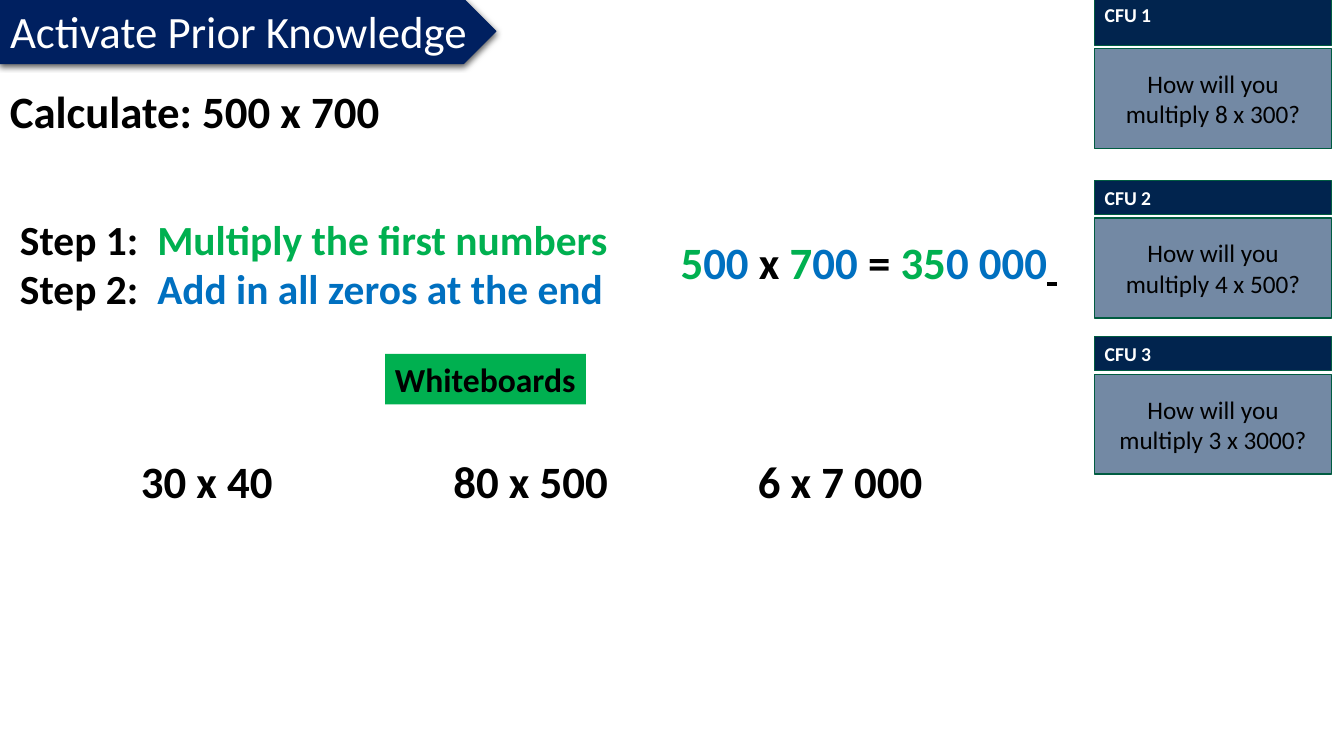
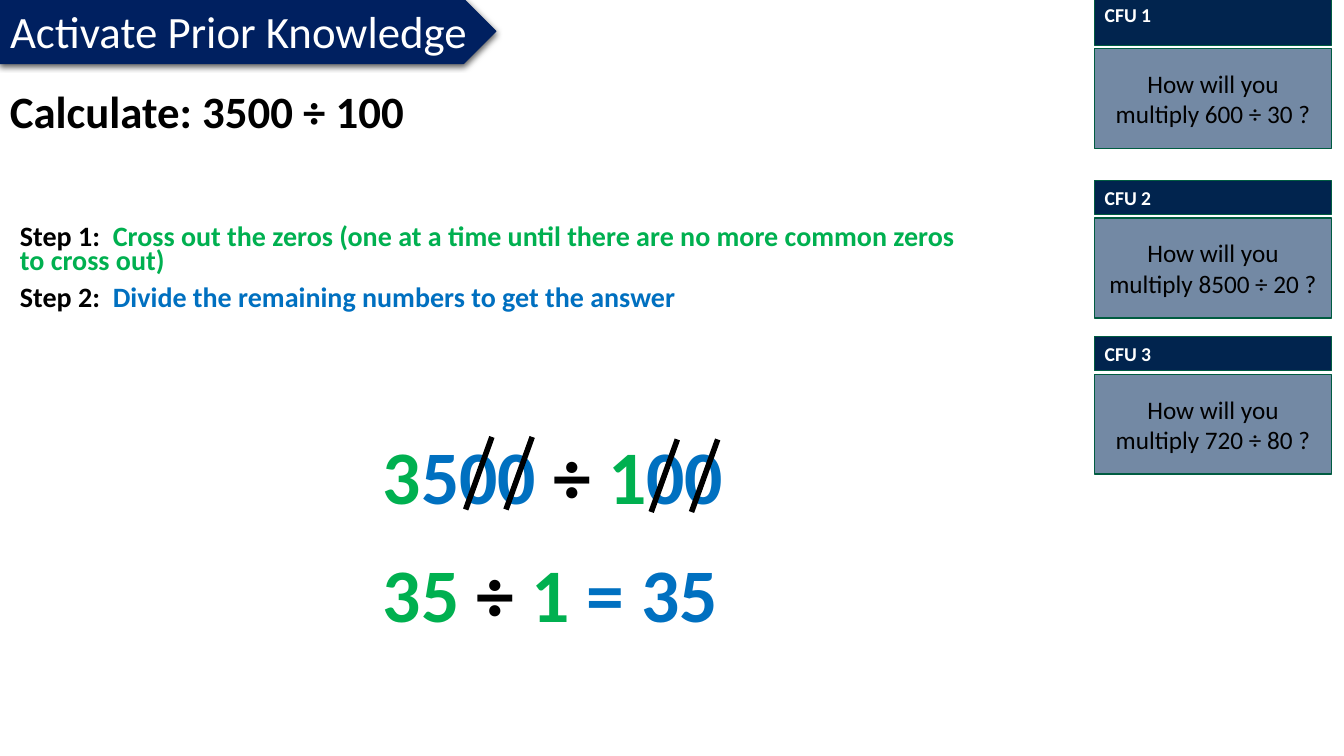
import pptx
import pptx.util
import pptx.dml.color
import pptx.enum.shapes
import pptx.enum.text
import pptx.oxml
import pptx.oxml.ns

RGB = pptx.dml.color.RGBColor
Pt = pptx.util.Pt
SHAPE = pptx.enum.shapes.MSO_SHAPE
ANCHOR = pptx.enum.text.MSO_ANCHOR
ALIGN = pptx.enum.text.PP_ALIGN
qn = pptx.oxml.ns.qn

BLACK = RGB(0x00, 0x00, 0x00)
WHITE = RGB(0xFF, 0xFF, 0xFF)
GREEN = RGB(0x00, 0xB0, 0x50)
BLUE = RGB(0x00, 0x70, 0xC0)
BANNER = RGB(0x00, 0x20, 0x60)
CARD_HEAD = RGB(0x01, 0x24, 0x4E)
CARD_BODY = RGB(0x16, 0x3B, 0x68)
CARD_LINE = RGB(0x00, 0x5C, 0x41)
FONT = "Calibri"

# The slide is a grid of 100 columns by 100 rows; boxes are (left, top, width, height).
WIDTH, HEIGHT = pptx.util.Inches(13.33), pptx.util.Inches(7.5)
BANNER_BOX = (0, -0.13, 36.9, 8.53)
HEADING_BOX = (0, 11.2, 73.3, 13.33)
STEPS_BOX = (0.75, 29.47, 73.3, 13.33)
CARD_LEFT, CARD_WIDTH = 81.45, 17.6
CARD_ROWS = [(-0.27, 6.27), (23.87, 4.53), (44.53, 4.53)]  # top, header height
CARD_GAP, QUESTION_HEIGHT = 0.45, 13.2


def grid(left, top, width, height):
    col, row = WIDTH / 100, HEIGHT / 100
    return [round(v) for v in (left * col, top * row, width * col, height * row)]


def effects(shape, inner=""):
    """Replace the theme's shadow with the given effects."""
    sp_pr = shape._element.spPr
    for old in sp_pr.findall(qn("a:effectLst")):
        sp_pr.remove(old)
    ns = pptx.oxml.ns.nsdecls("a")
    sp_pr.append(pptx.oxml.parse_xml(f"<a:effectLst {ns}>{inner}</a:effectLst>"))


def write(shape, paragraphs, size, bold=True, spacing=1.0, before=0,
          align=ALIGN.LEFT, anchor=ANCHOR.TOP):
    """Fill a shape with paragraphs, each a list of (text, colour) runs."""
    tf = shape.text_frame
    tf.word_wrap = True
    tf.auto_size = pptx.enum.text.MSO_AUTO_SIZE.NONE
    tf.vertical_anchor = anchor
    for i, runs in enumerate(paragraphs):
        p = tf.add_paragraph() if i else tf.paragraphs[0]
        p.alignment = align
        p.line_spacing = spacing
        p.space_before = Pt(before if i else 0)
        for text, colour in runs:
            r = p.add_run()
            r.text = text
            r.font.name, r.font.size, r.font.bold = FONT, Pt(size), bold
            r.font.color.rgb = colour
    return tf


def text_box(s, box, paragraphs, size, **style):
    return write(s.shapes.add_textbox(*grid(*box)), paragraphs, size, **style)


def block(shapes, kind, box, fill, line=None, weight=0.75):
    sp = shapes.add_shape(kind, *grid(*box))
    sp.shadow.inherit = False
    sp.fill.solid()
    sp.fill.fore_color.rgb = fill
    if line is None:
        sp.line.fill.background()
    else:
        sp.line.color.rgb = line
        sp.line.width = Pt(weight)
    return sp


def banner(s, title):
    sp = block(s.shapes, SHAPE.PENTAGON, BANNER_BOX, BANNER, BANNER)
    effects(sp, '<a:outerShdw blurRad="57150" dist="19050" dir="5400000" algn="ctr">'
                '<a:srgbClr val="000000"><a:alpha val="63000"/></a:srgbClr></a:outerShdw>')
    holder = s.shapes.title
    holder.left, holder.top, holder.width, holder.height = grid(*BANNER_BOX)
    write(holder, [[(title, WHITE)]], 32, bold=False)
    s.shapes._spTree.append(holder._element)  # the title lies over its arrow


def question_card(s, number, question, top, head_height):
    shapes = s.shapes.add_group_shape().shapes
    head = block(shapes, SHAPE.RECTANGLE, (CARD_LEFT, top, CARD_WIDTH, head_height),
                 CARD_HEAD, CARD_LINE)
    write(head, [[(f"CFU {number}", WHITE)]], 14)
    body_top = top + head_height + CARD_GAP
    body = block(shapes, SHAPE.RECTANGLE, (CARD_LEFT, body_top, CARD_WIDTH, QUESTION_HEIGHT),
                 CARD_BODY, CARD_LINE, 1)
    colour = body._element.spPr.find(qn("a:solidFill"))[0]
    colour.append(pptx.oxml.parse_xml(
        f'<a:alpha {pptx.oxml.ns.nsdecls("a")} val="60000"/>'))
    write(body, [[(question, BLACK)]], 18, bold=False,
          align=ALIGN.CENTER, anchor=ANCHOR.MIDDLE)


def lesson_slide(prs, task, steps, step_size, sums):
    """Slide with the banner, task, two steps and three question cards."""
    s = prs.slides.add_slide(prs.slide_layouts[5])
    banner(s, "Activate Prior Knowledge")
    text_box(s, HEADING_BOX, [[(f"Calculate: {task}", BLACK)]], 32, spacing=0.9)
    paragraphs = [[(f"Step {n}:  ", BLACK), (step, colour)]
                  for n, (step, colour) in enumerate(zip(steps, (GREEN, BLUE)), 1)]
    text_box(s, STEPS_BOX, paragraphs, step_size, spacing=0.7, before=10)
    for n, (expression, (top, head)) in enumerate(zip(sums, CARD_ROWS), 1):
        question_card(s, n, f"How will you multiply {expression}?", top, head)
    return s


def strike(s, left, bottom):
    """Slanted stroke through one digit."""
    x, y, run, rise = grid(left, bottom, 1.95, 9.6)
    line = s.shapes.add_connector(pptx.enum.shapes.MSO_CONNECTOR.STRAIGHT,
                                  x, y, x + run, y - rise)
    line.line.color.rgb = BLACK
    line.line.width = Pt(4)
    effects(line)


def multiplication(prs):
    s = lesson_slide(prs, "500 x 700",
                     ["Multiply the first numbers", "Add in all zeros at the end"], 29.6,
                     ["8 x 300", "4 x 500", "3 x 3000"])
    equation = [("5", GREEN), ("00", BLUE), (" x ", BLACK), ("7", GREEN), ("00", BLUE),
                (" = ", BLACK), ("35", GREEN), ("0 000", BLUE), (" ", BLACK)]
    tf = text_box(s, (49.9, 31.2, 31, 13.33), [equation], 32, spacing=0.9)
    tf.paragraphs[0].runs[-1].font.underline = True
    label = block(s.shapes, SHAPE.RECTANGLE, (28.65, 46.8, 14.95, 6.7), GREEN)
    write(label, [[("Whiteboards", BLACK)]], 24)
    for left, exercise in ((9.75, "30 x 40"), (33, "80 x 500"), (55.65, "6 x 7 000")):
        text_box(s, (left, 59.33, 20.2, 8.53), [[(exercise, BLACK)]], 32)


def division(prs):
    s = lesson_slide(prs, "3500 ÷ 100",
                     ["Cross out the zeros (one at a time until there are no more "
                      "common zeros to cross out)",
                      "Divide the remaining numbers to get the answer"], 20,
                     ["600 ÷ 30 ", "8500 ÷ 20 ", "720 ÷ 80 "])
    start = [("3", GREEN), ("500 ", BLUE), ("÷ ", BLACK), ("1", GREEN), ("00", BLUE)]
    result = [("35 ", GREEN), ("÷ ", BLACK), ("1", GREEN), (" = 35", BLUE)]
    for top, equation in ((57.47, start), (73.07, result)):
        text_box(s, (27.75, top, 50, 13.33), [equation], 54, spacing=0.9)
    for first_zero, bottom in ((34.65, 67.4), (48.45, 67.73)):
        for digit in range(2):
            strike(s, first_zero + 3 * digit, bottom)


def main():
    prs = pptx.Presentation()
    prs.slide_width, prs.slide_height = WIDTH, HEIGHT
    multiplication(prs)
    division(prs)
    prs.save("out.pptx")


if __name__ == "__main__":
    main()
